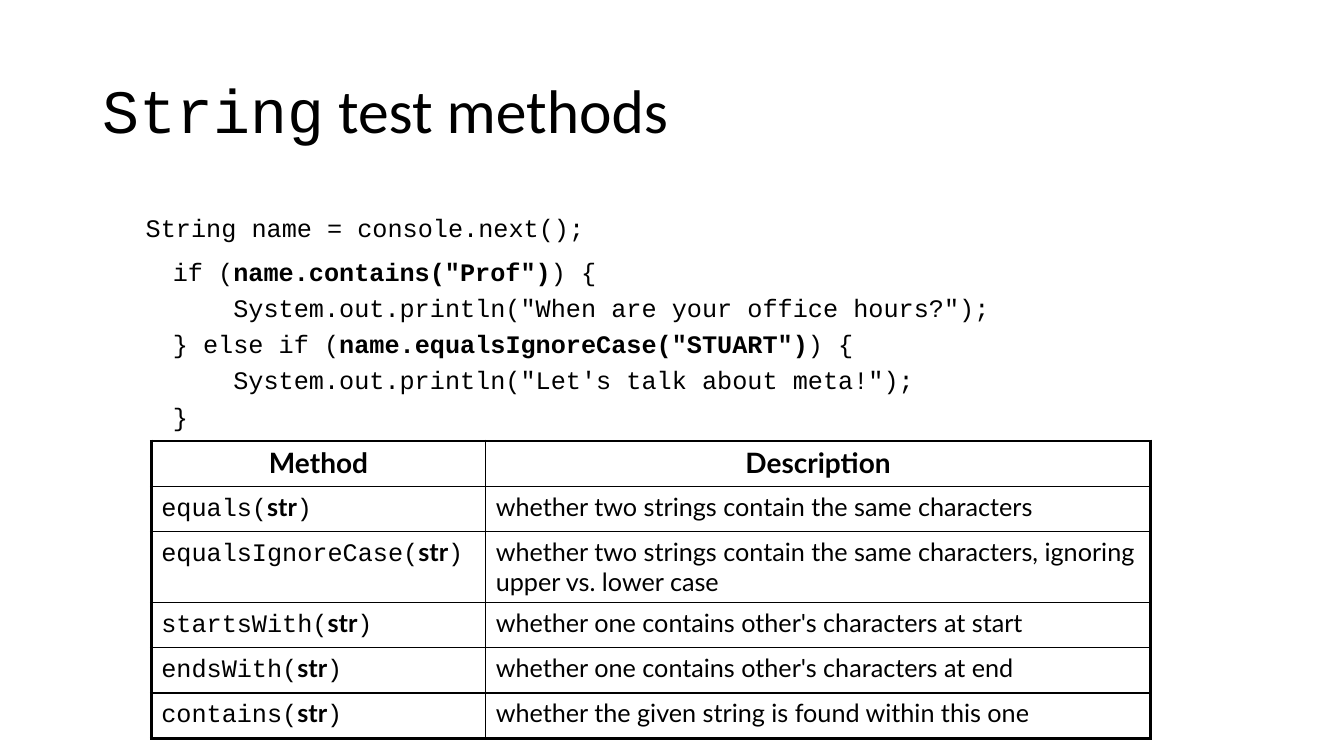
from dataclasses import dataclass

from pptx import Presentation
from pptx import util as u
from pptx.dml.color import RGBColor
from pptx.enum import text
from pptx.oxml import parse_xml
from pptx.oxml.ns import nsdecls


@dataclass(frozen=True)
class Theme:
    """Colours, typefaces, type sizes and rule widths of the slide."""
    ink: str = "000000"
    title_face: str = "Calibri"
    code_face: str = "Courier New"
    table_face: str = "Lato"
    title_size: int = 44
    body_size: int = 18
    header_size: int = 20
    inner_rule: float = 1
    outer_rule: float = 2.25


T = Theme()

CODE = [
    "if (|name.contains(\"Prof\")|) {",
    "    System.out.println(\"When are your office hours?\");",
    "} else if (|name.equalsIgnoreCase(\"STUART\")|) {",
    "    System.out.println(\"Let's talk about meta!\");",
    "}",
]

METHODS = [
    ("equals", "whether two strings contain the same characters"),
    ("equalsIgnoreCase", "whether two strings contain the same characters, "
                         "ignoring upper vs. lower case"),
    ("startsWith", "whether one contains other's characters at start"),
    ("endsWith", "whether one contains other's characters at end"),
    ("contains", "whether the given string is found within this one"),
]


def add_run(p, words, face, bold=False):
    """Append a run in the given typeface."""
    r = p.add_run()
    r.text = words
    r.font.name = face
    r.font.bold = bold


def style(p, size):
    """Set the size and colour shared by all runs of a paragraph."""
    p.font.size = u.Pt(size)
    p.font.color.rgb = RGBColor.from_string(T.ink)


def add_box(s, left, top, width, height, anchor):
    """Add a wrapping text box and return its text frame."""
    sp = s.shapes.add_textbox(u.Pt(left), u.Pt(top), u.Pt(width), u.Pt(height))
    tf = sp.text_frame
    tf.word_wrap = True
    tf.vertical_anchor = anchor
    return tf


def add_title(s):
    """Add the slide title, with the class name in the code face."""
    tf = add_box(s, 66, 28.8, 828, 104.4, text.MSO_ANCHOR.MIDDLE)
    p = tf.paragraphs[0]
    p.line_spacing = 0.9
    style(p, T.title_size)
    add_run(p, "String", T.code_face)
    add_run(p, " test methods", T.title_face)


def add_code_paragraph(p, lines, indent):
    """Fill a paragraph with code lines; bars enclose bold parts."""
    p.line_spacing = 1.2
    p.space_before = u.Pt(5)
    pPr = p._p.get_or_add_pPr()
    pPr.set("marL", str(u.Pt(50.4)))
    pPr.set("indent", str(u.Pt(indent)))
    style(p, T.body_size)
    for number, line in enumerate(lines):
        if number:
            p.add_line_break()
        for part, words in enumerate(line.split("|")):
            add_run(p, words, T.code_face, part % 2 == 1)


def add_code(s):
    """Add the code sample."""
    tf = add_box(s, 66, 144, 828, 342.7, text.MSO_ANCHOR.TOP)
    add_code_paragraph(tf.paragraphs[0], ["String name = console.next();"], -19.4)
    add_code_paragraph(tf.add_paragraph(), CODE, 0)


def set_borders(cell, outer):
    """Rule all four sides of a cell, heavier on the outer sides."""
    tcPr = cell._tc.get_or_add_tcPr()
    for side in "LRTB":
        width = u.Pt(T.outer_rule if side in outer else T.inner_rule)
        tcPr.append(parse_xml(
            f'<a:ln{side} {nsdecls("a")} w="{width}"><a:solidFill>'
            f'<a:srgbClr val="{T.ink}"/></a:solidFill></a:ln{side}>'))


def add_methods_table(s):
    """Add the table of methods and their descriptions."""
    widths = [239, 474.8]
    heights = [32.4, 32.4, 50.4, 32.4, 32.4, 32.4]
    frame = s.shapes.add_table(len(heights), len(widths), u.Pt(108), u.Pt(315),
                               u.Pt(sum(widths)), u.Pt(sum(heights)))
    table = frame.table
    table.horz_banding = False
    for column, width in zip(table.columns, widths):
        column.width = u.Pt(width)
    for row, height in zip(table.rows, heights):
        row.height = u.Pt(height)

    last = len(heights) - 1
    for i, row in enumerate(table.rows):
        for j, cell in enumerate(row.cells):
            outer = "LR"[j] + {0: "T", last: "B"}.get(i, "")
            set_borders(cell, outer)
            cell.fill.background()
            style(cell.text_frame.paragraphs[0], T.body_size if i else T.header_size)

    for cell, heading in zip(table.rows[0].cells, ["Method", "Description"]):
        p = cell.text_frame.paragraphs[0]
        p.alignment = text.PP_ALIGN.CENTER
        add_run(p, heading, T.table_face, True)

    for i, (method, description) in enumerate(METHODS, 1):
        p = table.cell(i, 0).text_frame.paragraphs[0]
        add_run(p, method + "(", T.code_face)
        add_run(p, "str", T.table_face, True)
        add_run(p, ")", T.code_face)
        add_run(table.cell(i, 1).text_frame.paragraphs[0], description, T.table_face)


def main():
    """Build the slide and save it."""
    prs = Presentation()
    prs.slide_width = u.Pt(960)
    prs.slide_height = u.Pt(540)
    s = prs.slides.add_slide(prs.slide_layouts[6])
    add_title(s)
    add_code(s)
    add_methods_table(s)
    prs.save("out.pptx")


main()
